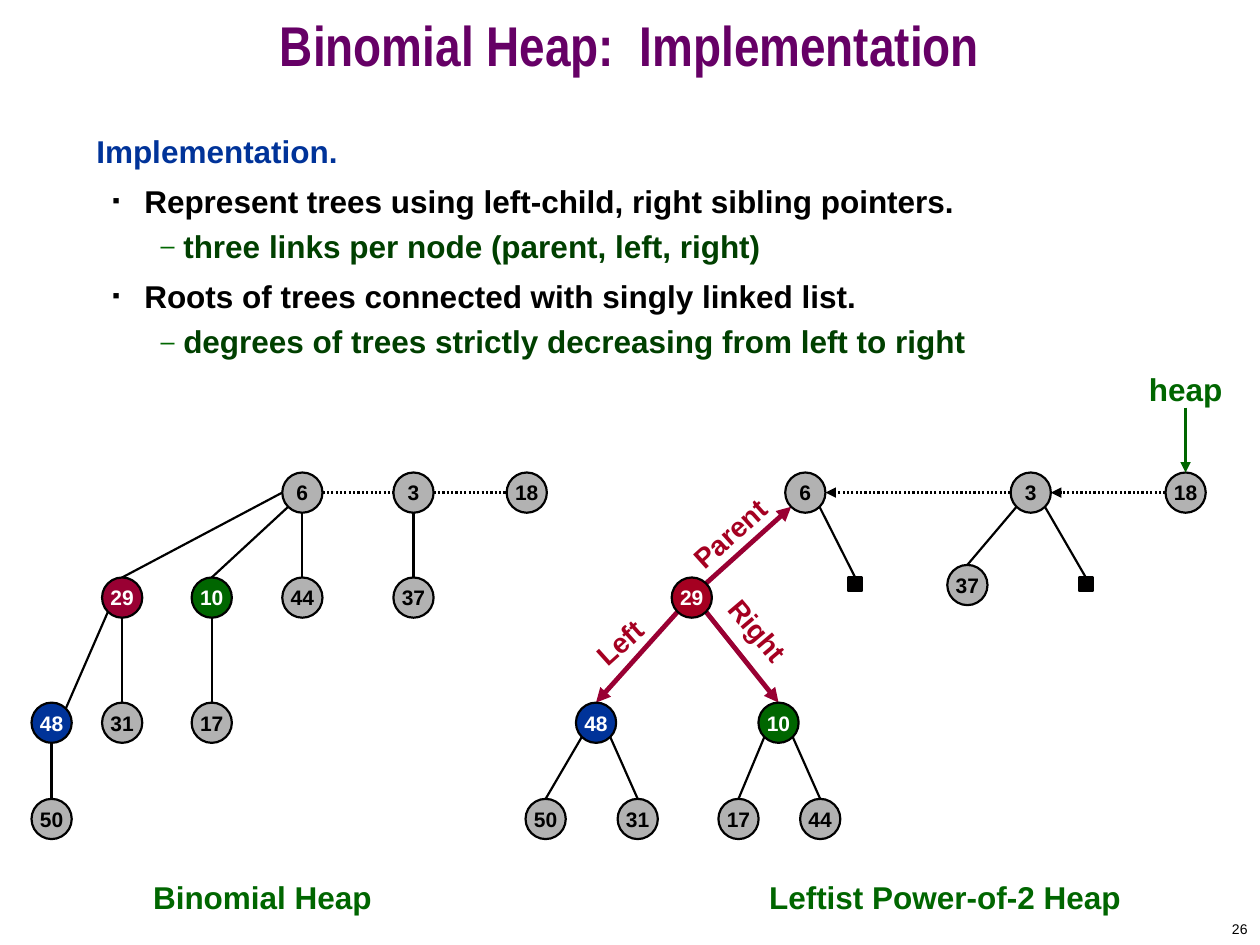
from lxml import etree
from pptx import Presentation
from pptx.dml.color import RGBColor
from pptx.enum.dml import MSO_LINE
from pptx.enum.shapes import MSO_CONNECTOR, MSO_SHAPE
from pptx.enum.text import MSO_ANCHOR, PP_ALIGN
from pptx.oxml.ns import qn
from pptx.util import Pt

LINE = MSO_CONNECTOR.STRAIGHT
OVAL, RECT = MSO_SHAPE.OVAL, MSO_SHAPE.RECTANGLE
DOTS = MSO_LINE.ROUND_DOT
MID, TOP = MSO_ANCHOR.MIDDLE, MSO_ANCHOR.TOP
LEFT, MIDDLE, RIGHT = PP_ALIGN.LEFT, PP_ALIGN.CENTER, PP_ALIGN.RIGHT

INK = {
    "black": "000000", "white": "FFFFFF", "gray": "B2B2B2", "blue": "003399",
    "green": "006600", "dark": "004000", "plum": "660066", "wine": "990033",
    "red": "A50021", "stub": "010000",
}
SIZE = 23
HALF = SIZE / 2
SLANT = 8.1
ROWS = [281.5, 341.5, 413, 468]
SIDES = {
    "N": (0, -HALF), "S": (0, HALF), "W": (-HALF, 0), "E": (HALF, 0),
    "NE": (SLANT, -SLANT), "SW": (-SLANT, SLANT), "SE": (SLANT, SLANT),
}
STYLES = {
    "tree": {"ink": "black", "width": 1.25},
    "list": {"ink": "black", "width": 1.25, "dash": DOTS},
    "next": {"ink": "black", "width": 1.25, "dash": DOTS, "arrow": True},
    "link": {"ink": "wine", "width": 2.75, "arrow": True},
    "entry": {"ink": "green", "width": 1.25, "arrow": True},
}
BULLETS = {
    1: {"mark": "■", "ink": "black", "scale": 35, "left": 27.4, "hang": 18},
    2: {"mark": "–", "ink": "green", "scale": 80, "left": 49.7, "hang": 13},
}
BODY = [
    (0, "Implementation.", "blue"),
    (1, "Represent trees using left-child, right sibling pointers.", "black"),
    (2, "three links per node (parent, left, right)", "dark"),
    (1, "Roots of trees connected with singly linked list.", "black"),
    (2, "degrees of trees strictly decreasing from left to right", "dark"),
]
LABELS = [
    ("heap", (642.5, 208, 70, 29), 18, "green", 0),
    ("Leftist Power-of-2 Heap", (408, 498, 264, 29), 18, "green", 0),
    ("Binomial Heap", (54, 498, 192, 29), 18, "green", 0),
    ("Parent", (378, 291.6, 78, 26.6), 16, "red", 318),
    ("Left", (330, 354, 48, 26.6), 16, "red", 318),
    ("Right", (403, 347, 60, 26.6), 16, "red", 49.9),
]
TREES = {
    "6": (172.8, ROWS[0], "gray"), "3": (236.3, ROWS[0], "gray"),
    "18": (301, ROWS[0], "gray"), "29": (69.8, ROWS[1], "wine"),
    "10": (121, ROWS[1], "green"), "44": (172.8, ROWS[1], "gray"),
    "37": (236.3, ROWS[1], "gray"), "48": (29.5, ROWS[2], "blue"),
    "31": (69.8, ROWS[2], "gray"), "17": (121, ROWS[2], "gray"),
    "50": (29.5, ROWS[3], "gray"),
}
BONDS = [
    ("6", "E", "3", "W", "list"), ("3", "E", "18", "W", "list"),
    ("6", "W", "29", "N", "tree"), ("6", "SW", "10", "N", "tree"),
    ("6", "S", "44", "N", "tree"), ("3", "S", "37", "N", "tree"),
    ("29", "SW", "48", "NE", "tree"), ("29", "S", "31", "N", "tree"),
    ("10", "S", "17", "N", "tree"), ("48", "S", "50", "N", "tree"),
]
LEFTIST = {
    "6": (460.2, ROWS[0], "gray"), "3": (589, ROWS[0], "gray"),
    "18": (677.5, ROWS[0], "gray"), "37": (552.8, 334.3, "gray"),
    "29": (395.3, ROWS[1], "red"), "48": (340.6, ROWS[2], "blue"),
    "10": (444.9, ROWS[2], "green"), "50": (311.8, ROWS[3], "gray"),
    "31": (364.4, ROWS[3], "gray"), "17": (422, ROWS[3], "gray"),
    "44": (468.7, ROWS[3], "gray"),
}
LINKS = [
    ("3", "W", "6", "E", "next"), ("18", "W", "3", "E", "next"),
    ("29", "NE", "6", "SW", "link"), ("29", "SW", "48", "N", "link"),
    ("29", "SE", "10", "N", "link"), ("3", "SW", "37", "N", "tree"),
    ("48", "SW", "50", "N", "tree"), ("48", "SE", "31", "N", "tree"),
    ("10", "SW", "17", "N", "tree"), ("10", "SE", "44", "N", "tree"),
]
STUBS = {"6": 488.7, "3": 620.5}


def tint(name):
    return RGBColor.from_string(INK[name])


def write(par, text, size, ink, bold=True, face="Arial"):
    run = par.add_run()
    run.text = text
    form = {"size": Pt(size), "bold": bold, "name": face}
    for key, val in form.items():
        setattr(run.font, key, val)
    run.font.color.rgb = tint(ink)


def place(shape, box):
    for key, val in zip(("left", "top", "width", "height"), box):
        setattr(shape, key, Pt(val))


def frame(shape, wrap, anchor, align):
    text = shape.text_frame
    text.word_wrap = wrap
    text.vertical_anchor = anchor
    text.paragraphs[0].alignment = align
    return text.paragraphs[0]


def add_text(slide, text, box, size, ink, turn=0, bold=True, anchor=TOP, align=MIDDLE):
    shape = slide.shapes.add_textbox(*map(Pt, box))
    shape.rotation = turn
    write(frame(shape, True, anchor, align), text, size, ink, bold)


def add_title(slide, text):
    shape = slide.shapes.title
    place(shape, (0, 0, 720, 60))
    par = frame(shape, True, MID, MIDDLE)
    par.line_spacing = 0.7
    write(par, text, 32, "plum", face="Arial Narrow")


def bullet(par, mark, ink, scale, left, hang):
    props = par._p.get_or_add_pPr()
    props.set("marL", str(Pt(left)))
    props.set("indent", str(-Pt(hang)))
    color = etree.SubElement(props, qn("a:buClr"))
    etree.SubElement(color, qn("a:srgbClr"), val=INK[ink])
    etree.SubElement(props, qn("a:buSzPct"), val=str(scale * 1000))
    etree.SubElement(props, qn("a:buFont"), typeface="Arial")
    etree.SubElement(props, qn("a:buChar"), char=mark)


def add_body(slide):
    shape = slide.shapes.add_textbox(*map(Pt, (48, 72, 618, 426)))
    par = frame(shape, True, TOP, LEFT)
    for rank, (level, text, ink) in enumerate(BODY):
        if rank:
            par = shape.text_frame.add_paragraph()
            par.level = level
            bullet(par, **BULLETS[level])
            par.space_before = Pt(4.5)
            par.line_spacing = 1.1 if level == 1 else 1.0
        write(par, text, 18, ink)


def add_shape(slide, kind, box, fill):
    shape = slide.shapes.add_shape(kind, *map(Pt, box))
    shape.shadow.inherit = False
    shape.fill.solid()
    shape.fill.fore_color.rgb = tint(fill)
    shape.line.color.rgb = tint("black")
    shape.line.width = Pt(1.25)
    return shape


def add_node(slide, text, x, y, fill):
    shape = add_shape(slide, OVAL, (x - HALF, y - HALF, SIZE, SIZE), fill)
    ink = "black" if fill == "gray" else "white"
    write(frame(shape, False, MID, MIDDLE), text, 12, ink)


def add_line(slide, start, end, ink, width, dash=None, arrow=False):
    line = slide.shapes.add_connector(LINE, *map(Pt, (*start, *end)))
    line.line.color.rgb = tint(ink)
    line.line.width = Pt(width)
    if dash:
        line.line.dash_style = dash
    if arrow:
        etree.SubElement(line.line._get_or_add_ln(), qn("a:tailEnd"), type="triangle")
    etree.SubElement(line._element.spPr, qn("a:effectLst"))
    return line


def spot(nodes, name, side):
    x, y, _ = nodes[name]
    dx, dy = SIDES[side]
    return x + dx, y + dy


def add_heap(slide, nodes, edges):
    for name, side, other, far, style in edges:
        add_line(slide, spot(nodes, name, side), spot(nodes, other, far), **STYLES[style])
    for name, node in nodes.items():
        add_node(slide, name, *node)


def add_stub(slide, start, x):
    square = add_shape(slide, RECT, (x - 4, 330, 8, 8), "stub")
    line = add_line(slide, start, (x, 330), **STYLES["tree"])
    line.end_connect(square, 0)


def main():
    deck = Presentation()
    deck.slide_width, deck.slide_height = Pt(720), Pt(540)
    slide = deck.slides.add_slide(deck.slide_layouts[5])
    add_title(slide, "Binomial Heap:  Implementation")
    add_body(slide)
    add_heap(slide, TREES, BONDS)
    add_heap(slide, LEFTIST, LINKS)
    for name, x in STUBS.items():
        add_stub(slide, spot(LEFTIST, name, "SE"), x)
    add_line(slide, (677.5, 233), spot(LEFTIST, "18", "N"), **STYLES["entry"])
    for label in LABELS:
        add_text(slide, *label)
    add_text(slide, "26", (570, 522, 150, 18), 8, "black", bold=False,
             anchor=MID, align=RIGHT)
    deck.save("out.pptx")


if __name__ == "__main__":
    main()
